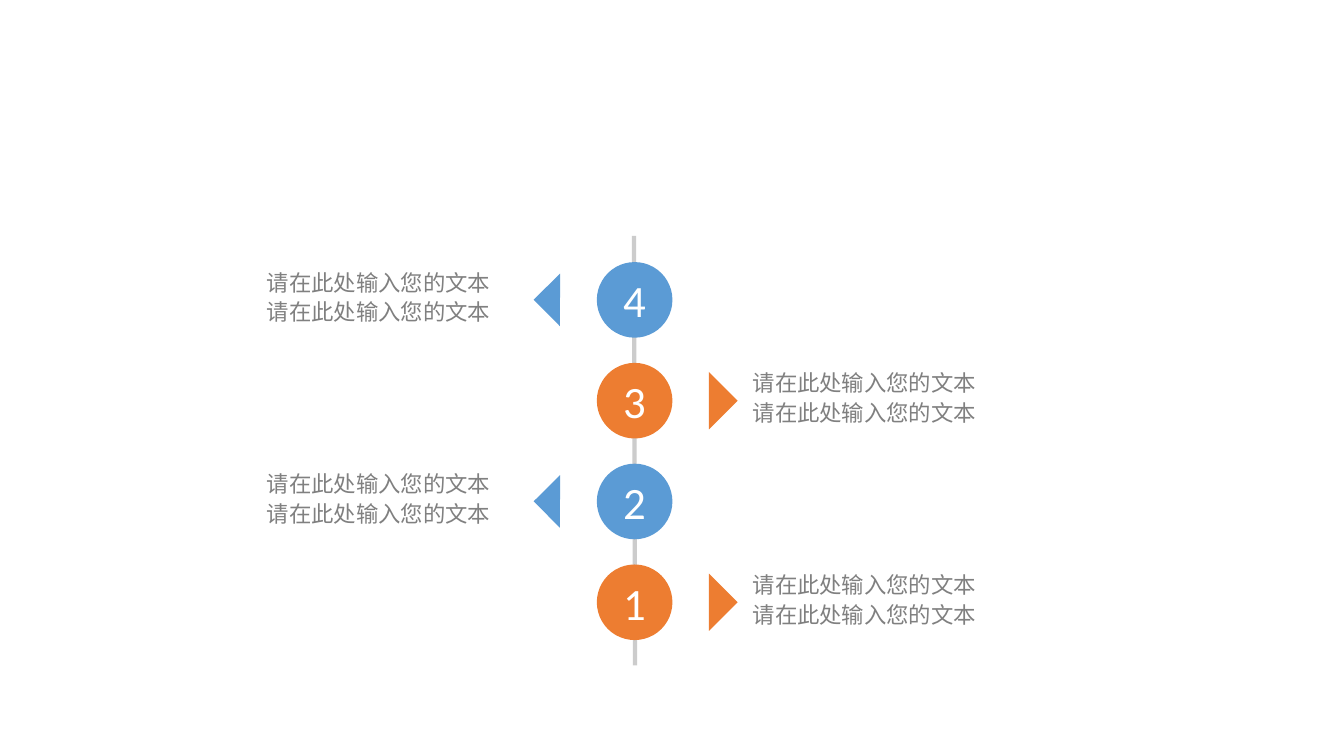
"""Build a vertical four-step timeline with alternating text on either side."""
import pptx
import pptx.dml.color
import pptx.enum.shapes
import pptx.enum.text
import pptx.oxml.ns
import pptx.util
from lxml import etree
from dataclasses import dataclass

Pt = pptx.util.Pt
SHAPES = pptx.enum.shapes.MSO_SHAPE

CAPTION = ["请在此处输入您的文本", "请在此处输入您的文本"]
STEPS = [
    ("4", "left", CAPTION),
    ("3", "right", CAPTION),
    ("2", "left", CAPTION),
    ("1", "right", CAPTION),
]
SIDES = {
    "left": {"color": "5B9BD5", "center": 400, "size": 26.6, "rotation": 45.3, "text_left": 183.6},
    "right": {"color": "ED7D31", "center": 506.4, "size": 29, "rotation": 225, "text_left": 530.6},
}
AXIS = (452.9, 168.5, 453.6, 475.2)
CIRCLE_LEFT, CIRCLE_SIZE = 426.3, 54
FIRST_TOP, STEP_PITCH = 187.2, 72
TEXT_WIDTH, TEXT_HEIGHT, TEXT_RISE = 176.4, 49.7, 0.7


@dataclass
class Theme:
    """Colours, fonts and sizes of the slide."""
    axis: str = "CCCCCC"
    caption: str = "808080"
    number: str = "FFFFFF"
    caption_font: str = "Noto Sans CJK SC"
    number_font: str = "Calibri"
    caption_size: float = 16
    number_size: float = 32
    axis_width: float = 3


THEME = Theme()


def rgb(color):
    return pptx.dml.color.RGBColor.from_string(color)


def style_runs(paragraph, font_name, size, color):
    for run in paragraph.runs:
        run.font.name = font_name
        run.font.size = Pt(size)
        run.font.color.rgb = rgb(color)
        east_asian = etree.SubElement(run.font._element, pptx.oxml.ns.qn("a:ea"))
        east_asian.set("typeface", font_name)


def add_axis(slide):
    axis = slide.shapes.add_connector(
        pptx.enum.shapes.MSO_CONNECTOR.STRAIGHT, *[Pt(value) for value in AXIS])
    axis.line.color.rgb = rgb(THEME.axis)
    axis.line.width = Pt(THEME.axis_width)
    etree.SubElement(axis._element.spPr, pptx.oxml.ns.qn("a:effectLst"))


def add_square_shape(slide, kind, left, top, size, color):
    shape = slide.shapes.add_shape(kind, Pt(left), Pt(top), Pt(size), Pt(size))
    shape.shadow.inherit = False
    shape.fill.solid()
    shape.fill.fore_color.rgb = rgb(color)
    shape.line.fill.background()
    return shape


def add_caption(slide, left, top, lines):
    box = slide.shapes.add_textbox(Pt(left), Pt(top), Pt(TEXT_WIDTH), Pt(TEXT_HEIGHT))
    frame = box.text_frame
    frame.word_wrap = False
    frame.auto_size = pptx.enum.text.MSO_AUTO_SIZE.SHAPE_TO_FIT_TEXT
    frame.text = "\n".join(lines)
    for paragraph in frame.paragraphs:
        paragraph.line_spacing = 1.1
        style_runs(paragraph, THEME.caption_font, THEME.caption_size, THEME.caption)


def add_number(slide, top, number, color):
    circle = add_square_shape(slide, SHAPES.OVAL, CIRCLE_LEFT, top, CIRCLE_SIZE, color)
    frame = circle.text_frame
    frame.text = number
    frame.vertical_anchor = pptx.enum.text.MSO_ANCHOR.MIDDLE
    paragraph = frame.paragraphs[0]
    paragraph.alignment = pptx.enum.text.PP_ALIGN.CENTER
    style_runs(paragraph, THEME.number_font, THEME.number_size, THEME.number)


def add_step(slide, top, number, side, lines):
    size = side["size"]
    triangle = add_square_shape(
        slide, SHAPES.RIGHT_TRIANGLE, side["center"] - size / 2,
        top + (CIRCLE_SIZE - size) / 2, size, side["color"])
    triangle.rotation = side["rotation"]
    add_caption(slide, side["text_left"], top - TEXT_RISE, lines)
    add_number(slide, top, number, side["color"])


def main():
    presentation = pptx.Presentation()
    presentation.slide_width = Pt(960)
    presentation.slide_height = Pt(540)
    slide = presentation.slides.add_slide(presentation.slide_layouts[6])
    add_axis(slide)
    for index, (number, side_name, lines) in enumerate(STEPS):
        add_step(slide, FIRST_TOP + index * STEP_PITCH, number, SIDES[side_name], lines)
    presentation.save("out.pptx")


if __name__ == "__main__":
    main()
